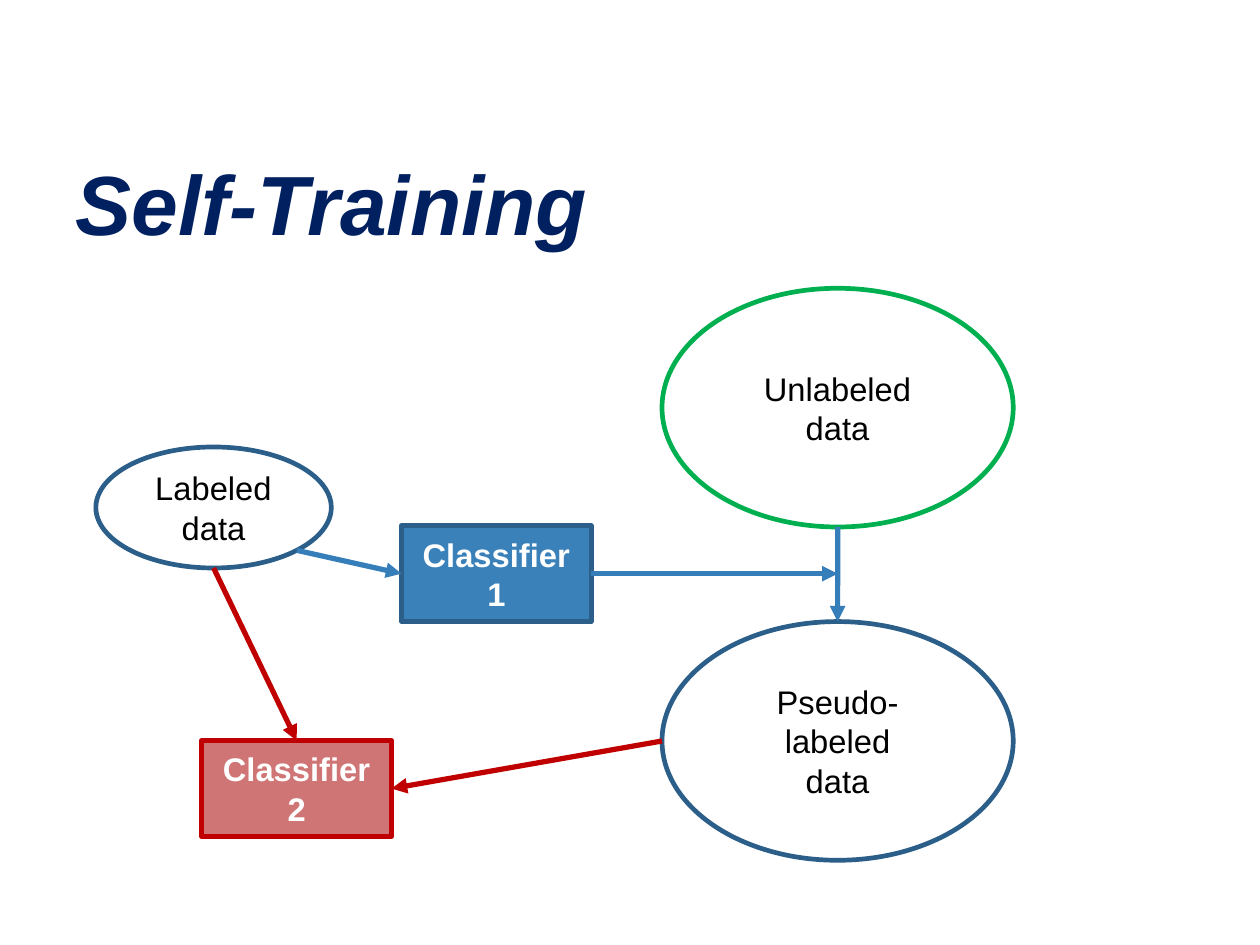
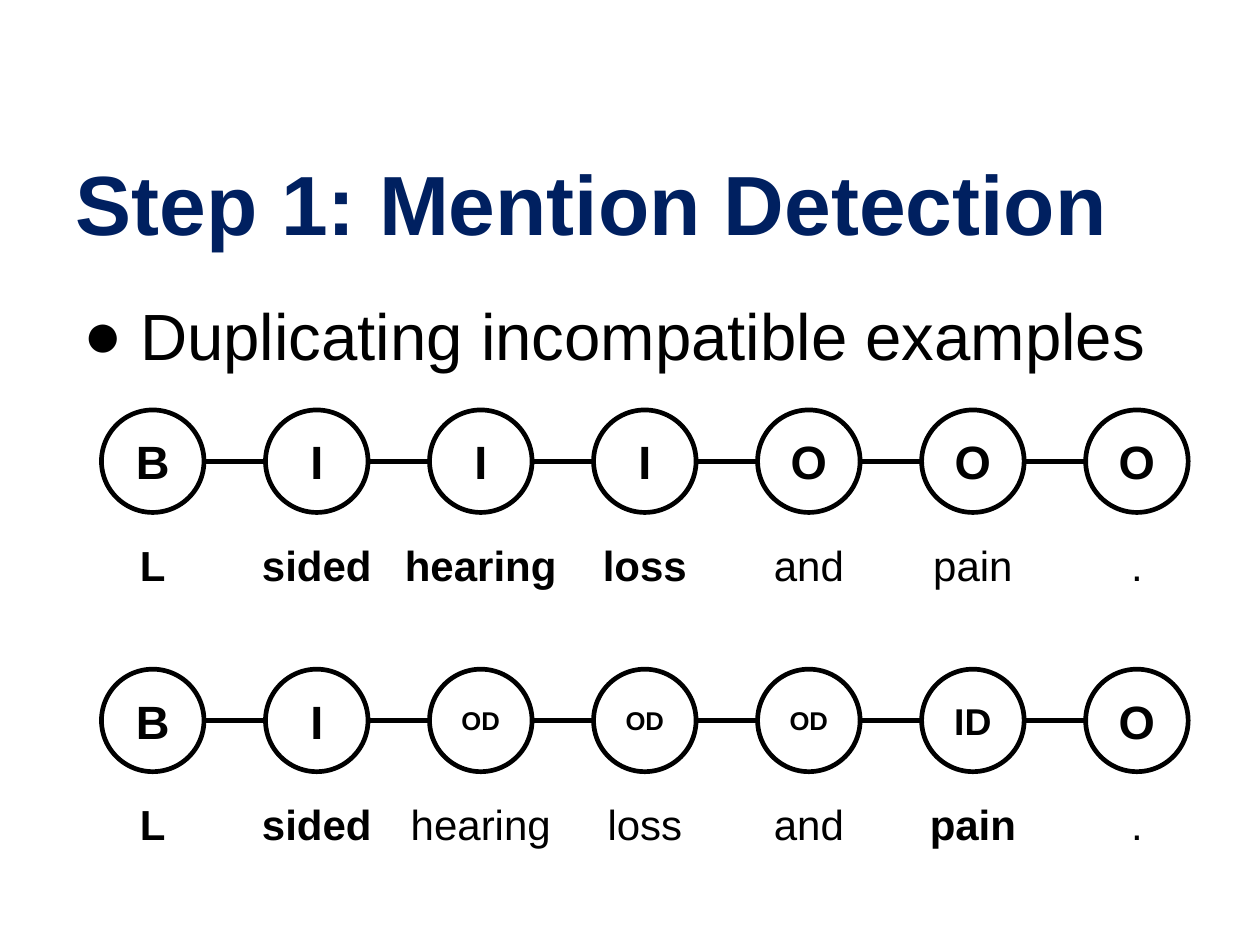
from math import cos, radians, sin

from lxml.etree import SubElement
from pptx import Presentation
from pptx.dml.color import RGBColor
from pptx.enum.shapes import MSO_CONNECTOR as Connector, MSO_SHAPE as Shape
from pptx.enum.text import MSO_ANCHOR as Anchor, PP_ALIGN as Align
from pptx.oxml.ns import qn
from pptx.util import Cm, Pt

FONT = "Arial"
NAVY, BLACK, WHITE = "002060", "000000", "FFFFFF"
BLUE, DARK_BLUE, ARROW_BLUE = "3A81BA", "2B5F8A", "367EB9"
RED, PALE_RED, GREEN = "C00000", "D07576", "00B050"

FIRST_NODE, NODE_PITCH, NODE_SIZE = 2.31, 2.48, 1.55
WORD_WIDTH, WORD_HEIGHT, WORD_DROP = 2.95, 1.02, 1.83
TAG_SIZES = {"OD": 11, "ID": 16}


def rgb(colour):
    return RGBColor.from_string(colour)


def add_run(paragraph, text, size, colour=BLACK, bold=False, italic=False):
    run = paragraph.add_run()
    run.text = text
    font = run.font
    font.name, font.size = FONT, Pt(size)
    font.bold, font.italic = bold, italic
    font.color.rgb = rgb(colour)


def add_text_box(slide, left, top, width, height, margin=None):
    box = slide.shapes.add_textbox(Cm(left), Cm(top), Cm(width), Cm(height))
    frame = box.text_frame
    frame.word_wrap = True
    if margin is not None:
        frame.margin_left = frame.margin_right = Cm(margin)
        frame.margin_top = frame.margin_bottom = Cm(margin)
    return frame


def add_title(slide, text, italic=False):
    frame = add_text_box(slide, 0.97, 2.21, 17.15, 1.78, margin=0.18)
    frame.vertical_anchor = Anchor.BOTTOM
    add_run(frame.paragraphs[0], text, 36, NAVY, bold=True, italic=italic)


def add_bullet(slide, text):
    frame = add_text_box(slide, 0.97, 4.29, 17.15, 9.47, margin=0.18)
    paragraph = frame.paragraphs[0]
    add_run(paragraph, text, 28)
    properties = paragraph._p.get_or_add_pPr()
    properties.set("marL", str(Cm(0.97)))
    properties.set("indent", str(Cm(-0.86)))
    bullet_colour = SubElement(properties, qn("a:buClr"))
    SubElement(bullet_colour, qn("a:srgbClr"), val=BLACK)
    SubElement(properties, qn("a:buFont"), typeface=FONT)
    SubElement(properties, qn("a:buChar"), char="●")


def add_box(slide, preset, place, lines, outline, fill=None,
            size=14, colour=BLACK, bold=False):
    """Outlined shape with one centred paragraph for each line."""
    shape = slide.shapes.add_shape(preset, *map(Cm, place))
    shape.shadow.inherit = False
    if fill:
        shape.fill.solid()
        shape.fill.fore_color.rgb = rgb(fill)
    else:
        shape.fill.background()
    shape.line.color.rgb = rgb(outline)
    shape.line.width = Pt(2)
    frame = shape.text_frame
    frame.word_wrap = True
    frame.vertical_anchor = Anchor.MIDDLE
    for number, line in enumerate(lines):
        paragraph = frame.add_paragraph() if number else frame.paragraphs[0]
        paragraph.alignment = Align.CENTER
        add_run(paragraph, line, size, colour, bold)
    return shape


def add_classifier(slide, left, top, text, outline, fill):
    return add_box(slide, Shape.RECTANGLE, (left, top, 2.87, 1.45), [text],
                   outline, fill, colour=WHITE, bold=True)


def rim(shape, degrees):
    """Point on the ellipse inscribed in the shape, clockwise from the right."""
    angle = radians(degrees)
    return (round(shape.left + shape.width / 2 * (1 + cos(angle))),
            round(shape.top + shape.height / 2 * (1 + sin(angle))))


def add_line(slide, start, end, colour=BLACK, arrow=False):
    connector = slide.shapes.add_connector(Connector.STRAIGHT, *start, *end)
    connector.line.color.rgb = rgb(colour)
    connector.line.width = Pt(2.25)
    if arrow:
        SubElement(connector.line._get_or_add_ln(), qn("a:tailEnd"), type="triangle")
    SubElement(connector._element.spPr, qn("a:effectLst"))
    return connector


def add_node(slide, centre, top, tag):
    place = (centre - NODE_SIZE / 2, top, NODE_SIZE, NODE_SIZE)
    node = add_box(slide, Shape.OVAL, place, [tag], BLACK, WHITE,
                   size=TAG_SIZES.get(tag, 20), bold=True)
    node.text_frame.margin_left = node.text_frame.margin_right = 0
    return node


def add_word(slide, centre, top, word, bold):
    frame = add_text_box(slide, centre - WORD_WIDTH / 2, top, WORD_WIDTH, WORD_HEIGHT)
    frame.paragraphs[0].alignment = Align.CENTER
    add_run(frame.paragraphs[0], word, 18, bold=bold)


def add_tag_chain(slide, top, words, tags, mention):
    """Row of linked tags over their words; words of the mention are bold."""
    nodes = []
    for index, (word, tag) in enumerate(zip(words, tags)):
        centre = FIRST_NODE + index * NODE_PITCH
        nodes.append(add_node(slide, centre, top, tag))
        add_word(slide, centre, top + WORD_DROP, word, word in mention)
    for node, following in zip(nodes, nodes[1:]):
        add_line(slide, rim(node, 0), rim(following, 180))


def build_self_training(slide):
    add_title(slide, "Self-Training", italic=True)
    labeled = add_box(slide, Shape.OVAL, (1.45, 6.76, 3.56, 1.83),
                      ["Labeled", "data"], DARK_BLUE)
    unlabeled = add_box(slide, Shape.OVAL, (10.01, 4.36, 5.31, 3.61),
                        ["Unlabeled", "data"], GREEN)
    pseudo = add_box(slide, Shape.OVAL, (10.01, 9.4, 5.31, 3.61),
                     ["Pseudo-labeled", "data"], DARK_BLUE)
    classifier_1 = add_classifier(slide, 6.07, 7.95, "Classifier 1", DARK_BLUE, BLUE)
    classifier_2 = add_classifier(slide, 3.05, 11.2, "Classifier 2", RED, PALE_RED)

    def add_arrow(start, end, colour):
        return add_line(slide, start, end, colour, arrow=True)

    train = add_arrow(rim(labeled, 45), rim(classifier_1, 180), ARROW_BLUE)
    train.end_connect(classifier_1, 1)
    predict = add_arrow(rim(unlabeled, 90), rim(pseudo, 270), ARROW_BLUE)
    predict.end_connect(pseudo, 0)
    apply_model = add_arrow(rim(classifier_1, 0),
                            (rim(unlabeled, 90)[0], rim(classifier_1, 0)[1]),
                            ARROW_BLUE)
    apply_model.begin_connect(classifier_1, 3)
    retrain = add_arrow(rim(labeled, 90), rim(classifier_2, 270), RED)
    retrain.end_connect(classifier_2, 0)
    extend = add_arrow(rim(pseudo, 180), rim(classifier_2, 0), RED)
    extend.end_connect(classifier_2, 3)


def build_mention_detection(slide):
    add_title(slide, "Step 1: Mention Detection")
    add_bullet(slide, "Duplicating incompatible examples")
    words = ["L", "sided", "hearing", "loss", "and", "pain", "."]
    add_tag_chain(slide, 6.2, words, ["B", "I", "I", "I", "O", "O", "O"],
                  {"L", "sided", "hearing", "loss"})
    add_tag_chain(slide, 10.12, words, ["B", "I", "OD", "OD", "OD", "ID", "O"],
                  {"L", "sided", "pain"})


def main():
    presentation = Presentation()
    presentation.slide_width, presentation.slide_height = Cm(19.05), Cm(14.29)
    blank = presentation.slide_layouts[6]
    for build in (build_self_training, build_mention_detection):
        build(presentation.slides.add_slide(blank))
    presentation.save("out.pptx")


if __name__ == "__main__":
    main()
